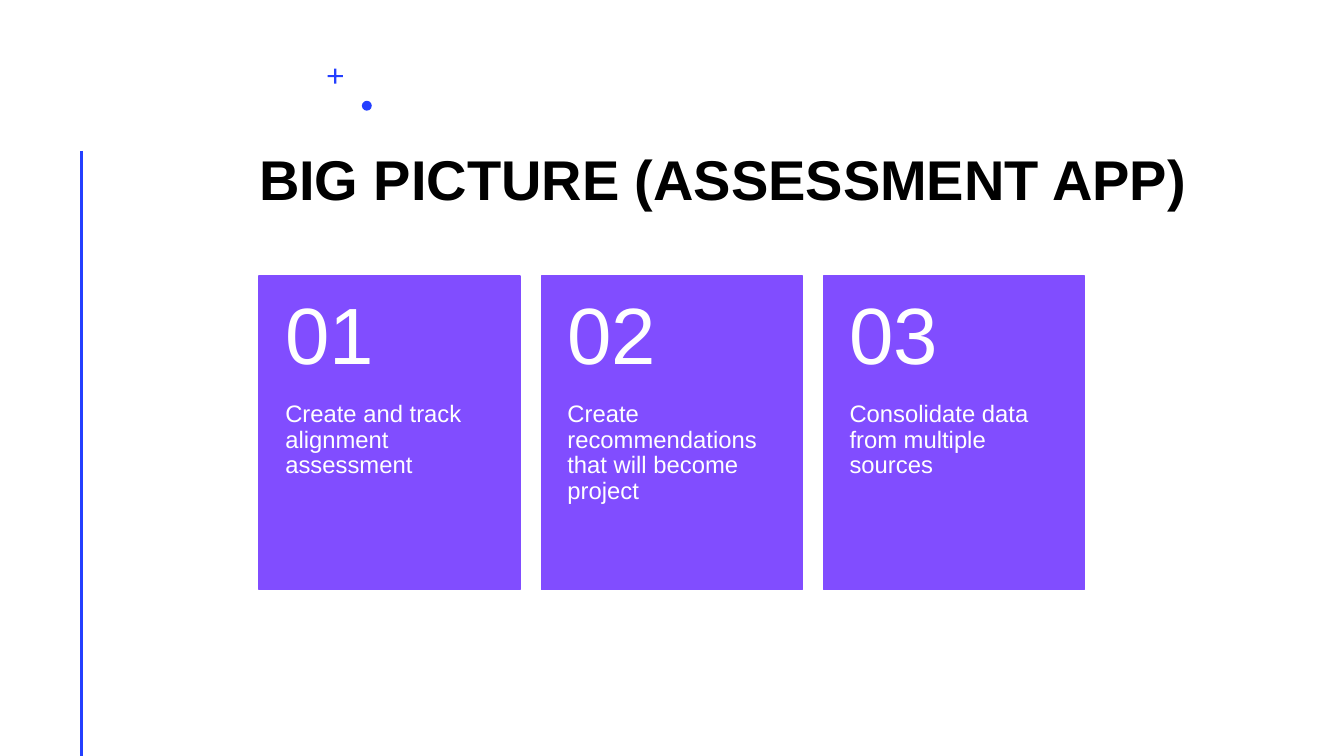
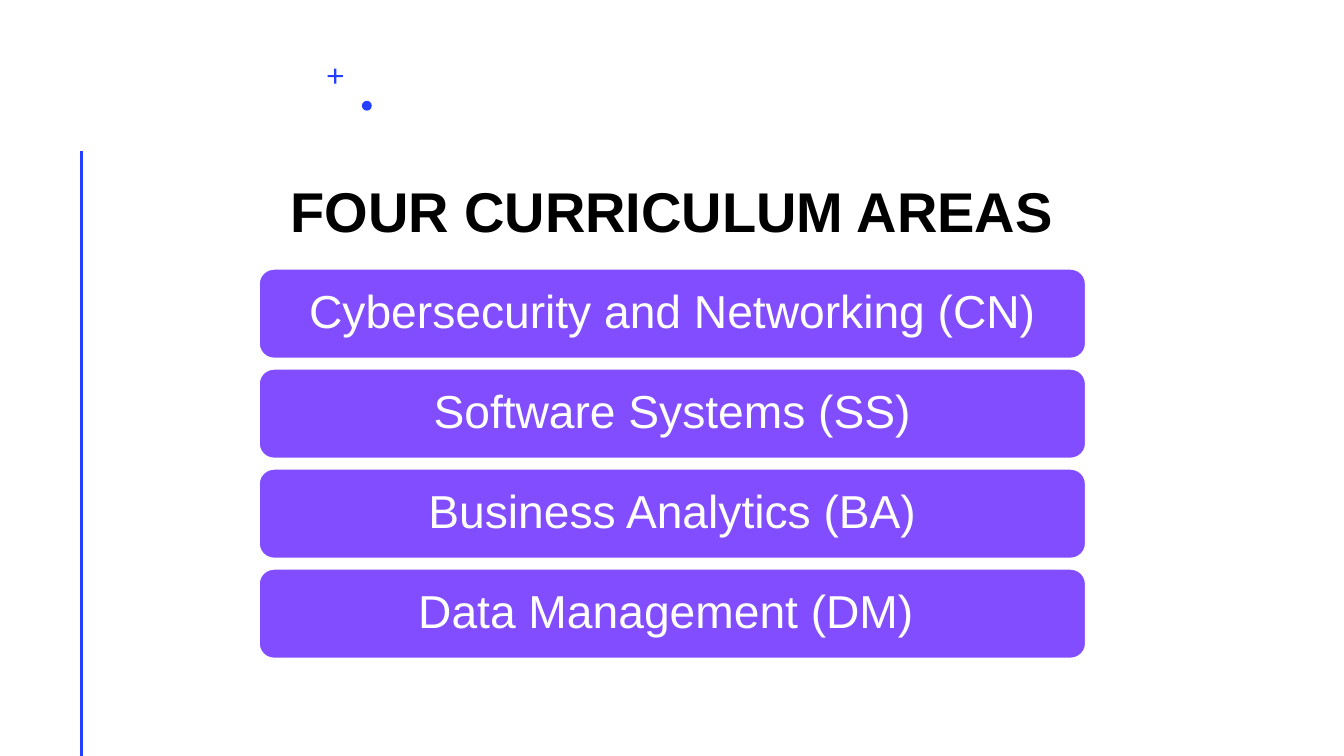
from pptx import Presentation
from pptx.dml.color import RGBColor
from pptx.enum.shapes import MSO_CONNECTOR, MSO_SHAPE as SHAPE
from pptx.enum.text import MSO_ANCHOR as ANCHOR, PP_ALIGN as ALIGN
from pptx.oxml.ns import qn
from pptx.util import Cm, Pt
from lxml import etree

# Content
STEPS_TITLE = "BIG PICTURE (ASSESSMENT APP)"
STEPS = [
    "Create and track alignment assessment",
    "Create recommendations that will become project",
    "Consolidate data from multiple sources",
]
AREAS_TITLE = "FOUR CURRICULUM AREAS"
AREAS = [
    "Cybersecurity and Networking (CN)",
    "Software Systems (SS)",
    "Business Analytics (BA)",
    "Data Management (DM) ",
]

# Shared style, lengths in cm
FONT = "Arial"
BLUE, PURPLE, WHITE, BLACK = "243FFF", "814DFF", "FFFFFF", "000000"
SLIDE_W, SLIDE_H = 33.87, 19.05
LEFT = 6.53
TITLE_H = 3.56


def rgb(color):
    return RGBColor.from_string(color)


def add_shape(slide, kind, box, fill, line=None):
    sp = slide.shapes.add_shape(kind, *map(Cm, box))
    sp.shadow.inherit = False
    sp.fill.solid()
    sp.fill.fore_color.rgb = rgb(fill)
    if line:
        sp.line.color.rgb = rgb(line)
        sp.line.width = Pt(1)
    else:
        sp.line.fill.background()
    return sp


def set_text(sp, text, size, color=WHITE, bold=False, align=ALIGN.LEFT,
             anchor=ANCHOR.MIDDLE, insets=(0, 0, 0, 0), spacing=0.9):
    tf = sp.text_frame
    tf.word_wrap = True
    tf.vertical_anchor = anchor
    tf.margin_left, tf.margin_top, tf.margin_right, tf.margin_bottom = map(Cm, insets)
    p = tf.paragraphs[0]
    p.text = text
    p.alignment = align
    p.line_spacing = spacing
    font = p.runs[0].font
    font.name, font.size, font.bold = FONT, Pt(size), bold
    font.color.rgb = rgb(color)


def add_text(slide, box, text, size, **style):
    set_text(slide.shapes.add_textbox(*map(Cm, box)), text, size, **style)


def new_slide(prs, title, box, align):
    """Add a slide with the shared ornaments and a title."""
    slide = prs.slides.add_slide(prs.slide_layouts[6])
    add_shape(slide, SHAPE.OVAL, (9.12, 2.54, 0.25, 0.25), BLUE)
    plus = add_shape(slide, SHAPE.CROSS, (8.26, 1.73, 0.38, 0.38), BLUE)
    plus.adjustments[0] = 0.43
    rule = slide.shapes.add_connector(
        MSO_CONNECTOR.STRAIGHT, Cm(2.06), Cm(3.8), Cm(2.06), Cm(SLIDE_H))
    rule.line.color.rgb = rgb(BLUE)
    rule.line.width = Pt(2)
    etree.SubElement(rule._element.spPr, qn("a:effectLst"))
    add_text(slide, box, title, 40, color=BLACK, bold=True, align=align,
             anchor=ANCHOR.BOTTOM, spacing=Pt(40))
    return slide


def build_steps(prs):
    slide = new_slide(prs, STEPS_TITLE, (LEFT, 1.78, 25.73, TITLE_H), ALIGN.LEFT)
    top, width, height, pitch, number_h = 6.96, 6.58, 7.9, 7.11, 3.17
    for i, step in enumerate(STEPS):
        x = LEFT + i * pitch
        add_shape(slide, SHAPE.RECTANGLE, (x, top, width, height), PURPLE, PURPLE)
        add_text(slide, (x, top + number_h, width, height - number_h), step, 17,
                 anchor=ANCHOR.TOP, insets=(0.66, 0, 0.66, 0.91))
        add_text(slide, (x, top, width, number_h), f"{i + 1:02}", 57,
                 insets=(0.66, 0.46, 0.66, 0.46))


def build_areas(prs):
    slide = new_slide(prs, AREAS_TITLE, (7.24, 2.57, 19.38, TITLE_H), ALIGN.CENTER)
    top, width, height, pitch = 6.78, 20.83, 2.25, 2.52
    for i, area in enumerate(AREAS):
        bar = add_shape(slide, SHAPE.ROUNDED_RECTANGLE,
                        (LEFT, top + i * pitch, width, height), PURPLE, WHITE)
        set_text(bar, area, 33, align=ALIGN.CENTER, insets=(0.36,) * 4)


def main():
    prs = Presentation()
    prs.slide_width, prs.slide_height = Cm(SLIDE_W), Cm(SLIDE_H)
    build_steps(prs)
    build_areas(prs)
    prs.save("out.pptx")


if __name__ == "__main__":
    main()
